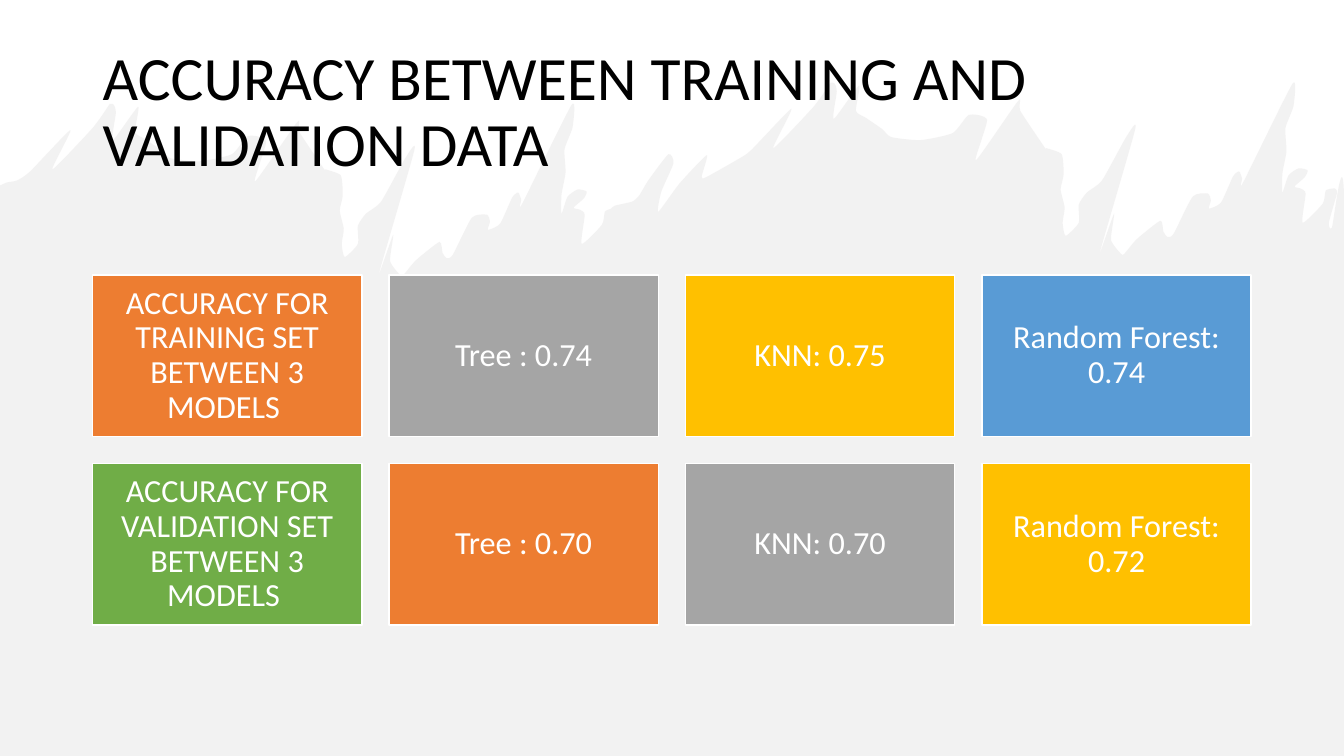
from lxml import etree
from pptx import Presentation
from pptx.dml.color import RGBColor
from pptx.enum.shapes import MSO_SHAPE
from pptx.enum.text import MSO_ANCHOR, PP_ALIGN
from pptx.oxml.ns import qn
from pptx.util import Inches, Pt

RECTANGLE = MSO_SHAPE.RECTANGLE
MIDDLE = MSO_ANCHOR.MIDDLE
CENTER = PP_ALIGN.CENTER

WHITE = RGBColor(0xFF, 0xFF, 0xFF)
BLACK = RGBColor(0x00, 0x00, 0x00)
BRUSH_GRAY = RGBColor(0xE7, 0xE6, 0xE6)
ORANGE = RGBColor(0xED, 0x7D, 0x31)
GRAY = RGBColor(0xA5, 0xA5, 0xA5)
GOLD = RGBColor(0xFF, 0xC0, 0x00)
BLUE = RGBColor(0x59, 0x9B, 0xD5)
GREEN = RGBColor(0x70, 0xAD, 0x47)

FONT = "Calibri"
TITLE = "ACCURACY BETWEEN TRAINING AND VALIDATION DATA"
CARD_ROWS = [
    [("ACCURACY FOR TRAINING SET BETWEEN 3 MODELS ", ORANGE), ("Tree : 0.74", GRAY),
     ("KNN: 0.75", GOLD), ("Random Forest: 0.74", BLUE)],
    [("ACCURACY FOR VALIDATION SET BETWEEN 3 MODELS ", GREEN), ("Tree : 0.70", ORANGE),
     ("KNN: 0.70", GRAY), ("Random Forest: 0.72", GOLD)],
]

SLIDE_WIDTH, SLIDE_HEIGHT = 13.33, 7.5
MARGIN = 0.92
CARD_TOP, CARD_WIDTH, CARD_HEIGHT, CARD_GAP = 2.73, 2.67, 1.6, 0.27

# The brush edge holds the same ridge twice, the left one moved by RIDGE_SHIFT.
RIDGE_SHIFT = (-7.15, 0.21)
RIDGE = [
    (7.32, 1.58), (7.45, 1.49), (7.85, 1.08), (7.67, 1.47), (8.06, 1.07), (8.2, 0.88),
    (8.24, 0.82), (8.28, 0.83), (8.3, 0.91), (8.27, 1.18), (8.52, 0.85), (8.49, 1.1),
    (8.59, 1.17), (8.75, 1.28), (8.84, 1.36), (9.13, 1.39), (9.45, 1.32), (9.61, 1.14),
    (9.79, 1.19), (9.68, 1.59), (10.1, 1), (10.12, 1.1), (10.36, 1.46), (10.38, 1.47),
    (10.53, 1.53), (10.55, 1.73), (10.52, 1.88), (10.56, 2.06), (10.54, 2.21), (10.57, 2.34),
    (10.7, 2.21), (10.7, 2.03), (10.78, 1.91), (10.93, 1.79), (11.17, 1.36), (11.26, 1.28),
    (10.91, 2.5), (11.05, 2.12), (11.02, 2.38), (11.12, 2.52), (11.15, 2.52), (11.24, 2.41),
    (11.3, 2.35), (11.51, 2.19), (11.54, 2.3), (11.58, 2.35), (11.64, 2.32), (11.83, 1.95),
    (11.98, 1.92), (12.01, 1.99), (11.99, 2.07), (12.11, 2.01), (12.23, 1.75), (12.29, 1.7),
    (12.32, 1.77), (12.33, 1.81), (12.82, 0.83), (12.83, 1.05), (12.75, 1.27), (12.76, 1.5),
    (12.72, 1.72), (12.72, 1.91), (12.78, 1.74), (12.88, 1.67), (12.97, 1.69), (12.94, 1.76),
    (12.84, 1.85), (12.9, 1.87), (12.95, 1.92), (12.92, 2.21), (13.12, 2.02), (13.15, 1.89),
]
LEFT_END = [(0, 1.84), (0.07, 1.81)]
VALLEY = [
    (6.06, 2.07), (6.1, 2.04), (6.27, 2), (6.34, 1.94), (6.43, 1.79), (6.63, 1.53),
    (6.68, 1.62), (6.56, 1.9), (6.53, 2.1), (6.74, 1.82), (7.01, 1.54), (6.96, 1.75),
    (7, 1.76),
]
RIGHT_END = [(13.24, 1.87), (13.26, 1.92), (13.18, 2.21), (13.21, 2.26), (SLIDE_WIDTH, 1.93)]
BOTTOM = [(SLIDE_WIDTH, SLIDE_HEIGHT), (0, SLIDE_HEIGHT)]
TENSION = 0.1


def bend_lines(shape, curve_count):
    """Turn the first straight segments of a freeform into smooth cubic curves."""
    nodes = list(shape.element.iter(qn("a:pt")))
    points = [(int(node.get("x")), int(node.get("y"))) for node in nodes]
    for index in range(curve_count):
        start, end = points[index], points[index + 1]
        before, after = points[max(index - 1, 0)], points[index + 2]
        leaving = [a + TENSION * (b - p) for p, a, b in zip(before, start, end)]
        arriving = [b - TENSION * (n - a) for a, b, n in zip(start, end, after)]
        segment = nodes[index + 1].getparent()
        segment.tag = qn("a:cubicBezTo")
        for position, (x, y) in enumerate((leaving, arriving)):
            control = etree.Element(qn("a:pt"), x=str(round(x)), y=str(round(y)))
            segment.insert(position, control)


def add_brush_background(slide):
    left_ridge = [(x + RIDGE_SHIFT[0], y + RIDGE_SHIFT[1]) for x, y in RIDGE]
    edge = LEFT_END + left_ridge + VALLEY + RIDGE + RIGHT_END
    outline = [(Inches(x), Inches(y)) for x, y in edge + BOTTOM]
    builder = slide.shapes.build_freeform(*outline[0])
    builder.add_line_segments(outline[1:])
    brush = builder.convert_to_shape()
    bend_lines(brush, len(edge) - 1)
    brush.shadow.inherit = False
    brush.fill.solid()
    brush.fill.fore_color.rgb = BRUSH_GRAY
    brush.line.fill.background()
    color = brush.element.spPr.find(qn("a:solidFill"))[0]
    etree.SubElement(color, qn("a:alpha"), val="50000")


def write_text(shape, text, size, color, alignment=None):
    frame = shape.text_frame
    frame.word_wrap = True
    frame.vertical_anchor = MIDDLE
    paragraph = frame.paragraphs[0]
    paragraph.text = text
    paragraph.alignment = alignment
    paragraph.line_spacing = 0.9
    paragraph.font.name = FONT
    paragraph.font.size = Pt(size)
    paragraph.font.color.rgb = color


def add_card(slide, row, column, text, color):
    card = slide.shapes.add_shape(
        RECTANGLE,
        Inches(MARGIN + column * (CARD_WIDTH + CARD_GAP)),
        Inches(CARD_TOP + row * (CARD_HEIGHT + CARD_GAP)),
        Inches(CARD_WIDTH), Inches(CARD_HEIGHT))
    card.shadow.inherit = False
    card.fill.solid()
    card.fill.fore_color.rgb = color
    card.line.color.rgb = WHITE
    card.line.width = Pt(1)
    frame = card.text_frame
    frame.margin_left = frame.margin_right = Inches(0.1)
    frame.margin_top = frame.margin_bottom = Inches(0.1)
    write_text(card, text, 23, WHITE, CENTER)


def main():
    presentation = Presentation()
    presentation.slide_width = Inches(SLIDE_WIDTH)
    presentation.slide_height = Inches(SLIDE_HEIGHT)
    slide = presentation.slides.add_slide(presentation.slide_layouts[6])

    add_brush_background(slide)
    title = slide.shapes.add_textbox(
        Inches(MARGIN), Inches(0.4), Inches(SLIDE_WIDTH - 2 * MARGIN), Inches(1.45))
    write_text(title, TITLE, 44, BLACK)
    for row, cards in enumerate(CARD_ROWS):
        for column, (text, color) in enumerate(cards):
            add_card(slide, row, column, text, color)

    presentation.save("out.pptx")


if __name__ == "__main__":
    main()
